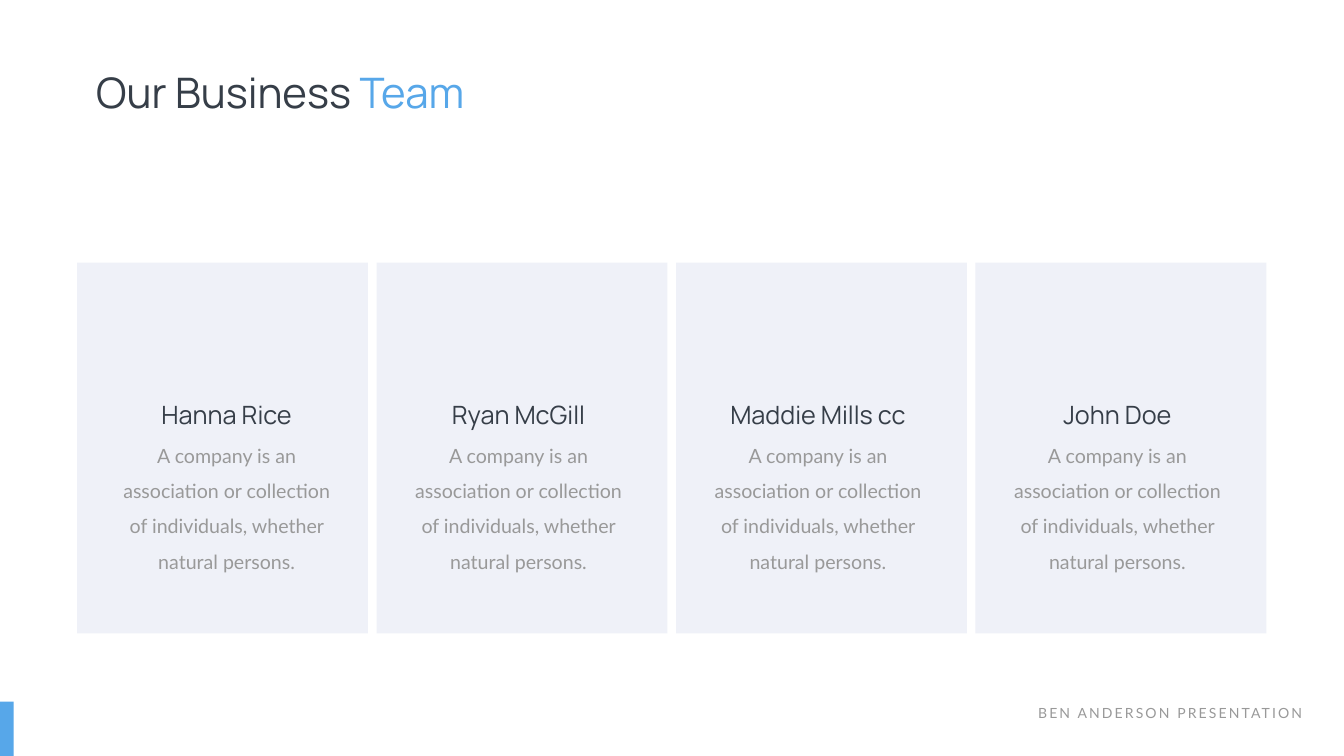
"""Build the business team slide with four member cards."""
from dataclasses import dataclass

from pptx import Presentation
from pptx.dml.color import RGBColor
from pptx.enum.shapes import MSO_SHAPE
from pptx.enum.text import MSO_AUTO_SIZE, PP_ALIGN
from pptx.util import Inches, Pt


@dataclass(frozen=True)
class Theme:
    """Colours, fonts and type sizes of the slide."""
    ink: str = "363E48"
    accent: str = "57A7E9"
    muted: str = "999999"
    card: str = "EFF1F8"
    heading_font: str = "Manrope"
    body_font: str = "Lato"
    title_size: int = 60
    name_size: int = 36
    body_size: int = 28
    footer_size: int = 20


class SlideBuilder:
    """Draw styled elements on the current page."""

    def __init__(self, page, theme):
        """Keep the page and its theme."""
        self.page = page
        self.theme = theme

    def panel(self, left, top, width, height, color):
        """Add a plain filled rectangle."""
        panel = self.page.shapes.add_shape(
            MSO_SHAPE.RECTANGLE, Inches(left), Inches(top), Inches(width), Inches(height))
        panel.shadow.inherit = False
        panel.fill.solid()
        panel.fill.fore_color.rgb = RGBColor.from_string(color)
        panel.line.fill.background()

    def text(self, left, top, width, height, spans, font, size,
             align=PP_ALIGN.LEFT, line_spacing=None, tracking=0, wrap=True):
        """Add one paragraph made of (text, colour) spans."""
        box = self.page.shapes.add_textbox(
            Inches(left), Inches(top), Inches(width), Inches(height))
        frame = box.text_frame
        frame.word_wrap = wrap
        frame.auto_size = MSO_AUTO_SIZE.SHAPE_TO_FIT_TEXT
        para = frame.paragraphs[0]
        para.alignment = align
        para.line_spacing = line_spacing
        for words, color in spans:
            span = para.add_run()
            span.text = words
            span.font.name = font
            span.font.size = Pt(size)
            span.font.color.rgb = RGBColor.from_string(color)
            if tracking:
                span.font._element.set("spc", str(tracking * 100))

    def member(self, left, name, name_width, bio):
        """Add a member's description and name, centred on each other."""
        theme = self.theme
        bio_width = 4.31
        self.text(left, 8.52, bio_width, 2.84, [(bio, theme.muted)], theme.body_font,
                  theme.body_size, PP_ALIGN.CENTER, line_spacing=1.5)
        self.text(left + (bio_width - name_width) / 2, 7.88, name_width, 0.71,
                  [(name, theme.ink)], theme.heading_font, theme.name_size,
                  PP_ALIGN.CENTER, wrap=False)


def main():
    """Create the deck and save it."""
    deck = Presentation()
    deck.slide_width, deck.slide_height = Inches(26.66), Inches(15)
    theme = Theme()
    builder = SlideBuilder(deck.slides.add_slide(deck.slide_layouts[6]), theme)

    builder.text(1.81, 1.28, 8.98, 1.11,
                 [("Our Business", theme.ink), (" Team", theme.accent)],
                 theme.heading_font, theme.title_size)
    builder.text(20.08, 13.92, 5.85, 0.44, [("BEN ANDERSON PRESENTATION", theme.muted)],
                 theme.body_font, theme.footer_size, PP_ALIGN.RIGHT, tracking=3)
    builder.panel(0, 13.92, 0.27, 1.08, theme.accent)

    bio = "A company is an association or collection of individuals, whether natural persons."
    members = [("Hanna Rice", 3.07, 0.81), ("Ryan McGill", 3.1, 0.66),
               ("Maddie Mills cc", 4.06, 0.66), ("John Doe", 2.57, 0.66)]
    first_left, card_width, gap = 1.53, 5.77, 0.17
    card_lefts = [first_left + index * (card_width + gap) for index in range(len(members))]
    for left in card_lefts:
        builder.panel(left, 5.21, card_width, 7.36, theme.card)
    for left, (name, name_width, indent) in zip(card_lefts, members):
        builder.member(left + indent, name, name_width, bio)

    deck.save("out.pptx")


if __name__ == "__main__":
    main()
